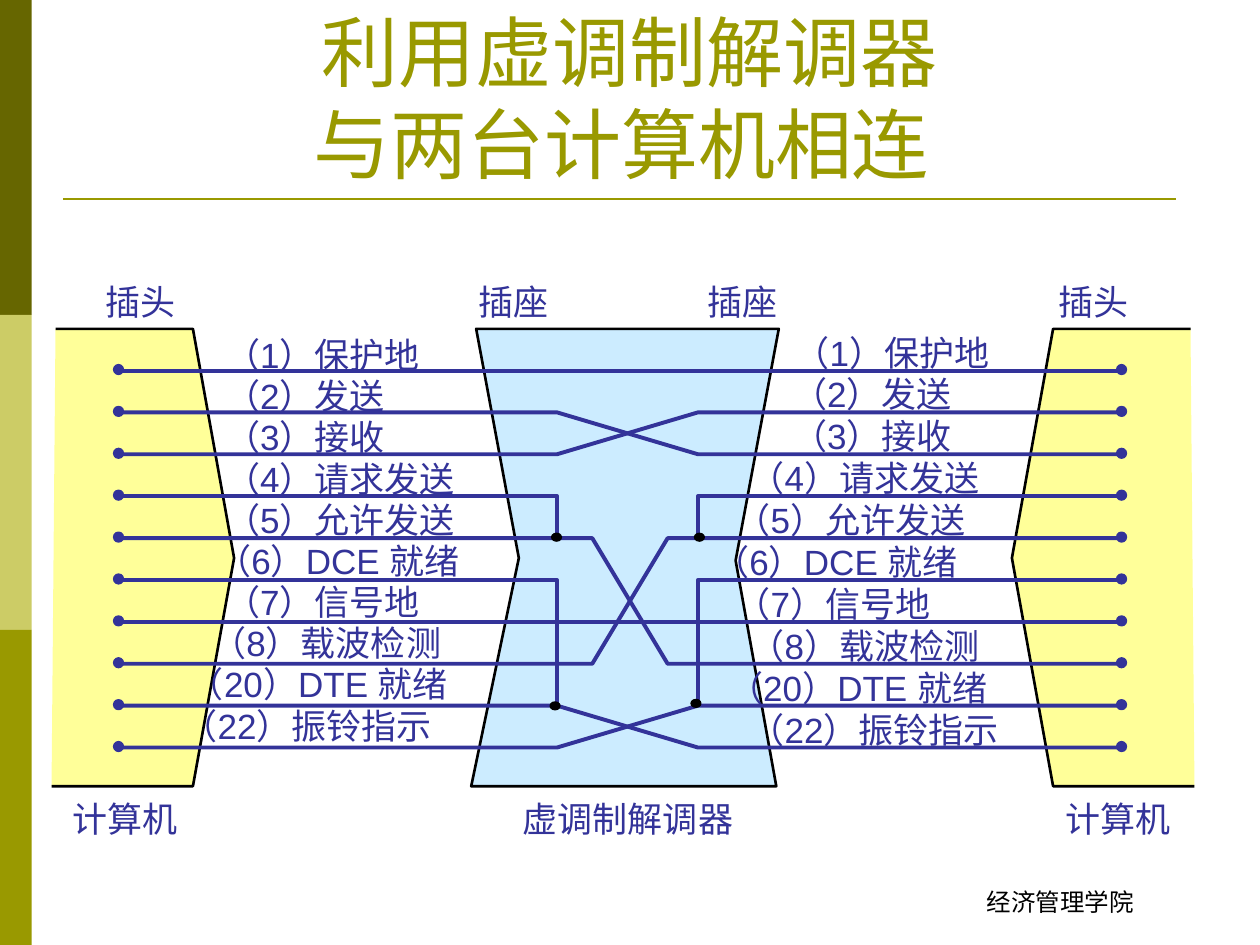
"""Draw two computers joined through a null modem, wire by wire."""
from dataclasses import dataclass

from pptx import Presentation
from pptx.dml.color import RGBColor as Rgb
from pptx.enum.shapes import MSO_CONNECTOR as Link, MSO_SHAPE as Form
from pptx.enum.text import MSO_ANCHOR as Anchor, MSO_AUTO_SIZE as Fit, PP_ALIGN as Align
from pptx.oxml.ns import qn
from pptx.util import Cm, Pt


@dataclass(frozen=True)
class Theme:
    """Colours, fonts and sizes in points."""
    olive: str = "999900"
    dark: str = "666600"
    pale: str = "CCCC66"
    black: str = "000000"
    navy: str = "333399"
    yellow: str = "FFFF99"
    sky: str = "CCECFF"
    head: str = "Times New Roman"
    body: str = "Arial"
    foot: str = "Karla"
    head_pt: float = 44
    body_pt: float = 20
    foot_pt: float = 14
    wire_pt: float = 2.25
    edge_pt: float = 1.5
    joint_pt: float = 1
    pin_pt: float = 0.75


@dataclass(frozen=True)
class Label:
    """A text with its left, top and width in cm."""
    text: str
    left: float
    top: float
    width: float


@dataclass(frozen=True)
class Signal:
    """A wire name, its text width and its left edge on both sides."""
    text: str
    width: float
    west: float
    east: float


Points = list[tuple[float, float]]
T = Theme()
AXIS = 25.12
WEST, EAST = 2.46, 22.69
TURN_W, TURN_E = 11.23, 14.07
BEND_W, BEND_E = 11.94, 13.46

SIGNALS = [
    Signal("（1）保护地", 4.78, 4.29, 15.77),
    Signal("（2）发送", 4.06, 4.29, 15.72),
    Signal("（3）接收", 4.06, 4.29, 15.72),
    Signal("（4）请求发送", 5.49, 4.29, 14.86),
    Signal("（5）允许发送", 5.49, 4.29, 14.58),
    Signal("（6）DCE 就绪", 6.1, 4.11, 14.15),
    Signal("（7）信号地", 4.78, 4.29, 14.58),
    Signal("（8）载波检测", 5.49, 4.01, 14.86),
    Signal("（20）DTE 就绪", 6.4, 3.56, 14.43),
    Signal("（22）振铃指示", 5.87, 3.43, 14.86),
]
LABELS = [
    Label("插头", 1.88, 5.54, 1.93),
    Label("插头", 21.08, 5.54, 1.93),
    Label("插座", 9.4, 5.54, 1.93),
    Label("插座", 14.02, 5.54, 1.93),
    Label("计算机", 1.22, 15.95, 2.62),
    Label("虚调制解调器", 10.29, 15.95, 4.75),
    Label("计算机", 21.23, 15.95, 2.62),
]
PLUG = [(1.12, 6.63), (3.89, 6.63), (4.72, 11.25), (3.89, 15.85), (1.04, 15.85)]
MODEM = [(9.6, 6.63), (10.46, 11.25), (9.5, 15.85), (15.65, 15.85),
         (14.83, 11.3), (15.7, 6.63), (9.6, 6.63)]
JOINTS = [(11.22, 10.83), (14.1, 10.83), (14.03, 14.18), (11.19, 14.23)]


def pin(row: int) -> float:
    """Give the height of a pin's centre, rows counted from 0."""
    return 7.45 + row * 7.6 / 9


def rail(row: int) -> float:
    """Give the height of a wire."""
    return pin(row) + 0.02


def cross(a: int, b: int, west: float, east: float) -> Points:
    """Lead a wire from row a on the left to row b on the right."""
    return [(WEST, rail(a)), (west, rail(a)), (east, rail(b)), (EAST, rail(b))]


def hook(a: int, b: int, start: float, turn: float) -> Points:
    """Lead a wire along row a, then down to row b."""
    return [(start, rail(a)), (turn, rail(a)), (turn, rail(b))]


def paint(shape, fill: str | None, line: str | None, width: float = 0) -> None:
    """Set a shape's fill and line, without shadow."""
    shape.shadow.inherit = False
    if fill:
        shape.fill.solid()
        shape.fill.fore_color.rgb = Rgb.from_string(fill)
    else:
        shape.fill.background()
    if line:
        shape.line.color.rgb = Rgb.from_string(line)
        shape.line.width = Pt(width)
    else:
        shape.line.fill.background()


def trace(slide, points: Points, fill: str | None, line: str, width: float) -> None:
    """Draw a run of straight segments."""
    first, *rest = [(Cm(x), Cm(y)) for x, y in points]
    pen = slide.shapes.build_freeform(*first)
    pen.add_line_segments(rest, close=False)
    paint(pen.convert_to_shape(), fill, line, width)


def rule(slide, x1: float, x2: float, y: float, color: str, width: float) -> None:
    """Draw a level line."""
    line = slide.shapes.add_connector(Link.STRAIGHT, Cm(x1), Cm(y), Cm(x2), Cm(y))
    line.line.color.rgb = Rgb.from_string(color)
    line.line.width = Pt(width)
    props = line._element.spPr
    props.append(props.makeelement(qn("a:effectLst"), {}))


def dot(slide, x: float, y: float, w: float, h: float, color: str, line: float) -> None:
    """Draw an oval about its centre."""
    oval = slide.shapes.add_shape(Form.OVAL, Cm(x - w / 2), Cm(y - h / 2), Cm(w), Cm(h))
    paint(oval, color, color, line)


def style(para, face: str, size: float, color: str) -> None:
    """Set a paragraph's font."""
    para.font.name = face
    para.font.size = Pt(size)
    para.font.color.rgb = Rgb.from_string(color)


def write(slide, item: Label) -> None:
    """Place a diagram label."""
    box = slide.shapes.add_textbox(Cm(item.left), Cm(item.top), Cm(item.width), Cm(1.1))
    frame = box.text_frame
    frame.word_wrap = False
    frame.auto_size = Fit.SHAPE_TO_FIT_TEXT
    frame.text = item.text
    style(frame.paragraphs[0], T.body, T.body_pt, T.navy)


def dress(slide) -> None:
    """Add the side band, title, rule and footer."""
    for i, color in enumerate((T.dark, T.pale, T.olive)):
        band = slide.shapes.add_shape(Form.RECTANGLE, 0, Cm(i * 6.35), Cm(0.64), Cm(6.35))
        paint(band, color, None)
    rule(slide, 1.27, 23.7, 4.01, T.olive, T.edge_pt)
    title = slide.shapes.title
    title.left, title.top, title.width, title.height = Cm(1.27), Cm(0.76), Cm(22.86), Cm(3.18)
    foot = slide.shapes.add_textbox(Cm(17.35), Cm(17.32), Cm(8.05), Cm(1.27))
    foot.text_frame.text = "经济管理学院"
    para = title.text_frame.paragraphs[0]
    para.add_run().text = "利用虚调制解调器"
    para.add_line_break()
    para.add_run().text = "与两台计算机相连 "
    style(para, T.head, T.head_pt, T.olive)
    style(foot.text_frame.paragraphs[0], T.foot, T.foot_pt, T.black)
    for frame in (title.text_frame, foot.text_frame):
        frame.word_wrap = True
        frame.auto_size = Fit.NONE
        frame.vertical_anchor = Anchor.BOTTOM
        frame.paragraphs[0].alignment = Align.CENTER


def main() -> None:
    """Build the slide and save it."""
    deck = Presentation()
    deck.slide_width, deck.slide_height = Cm(25.4), Cm(19.05)
    slide = deck.slides.add_slide(deck.slide_layouts[5])
    dress(slide)
    for shape, fill in ((PLUG, T.yellow), ([(AXIS - x, y) for x, y in PLUG], T.yellow),
                        (MODEM, T.sky)):
        trace(slide, shape, fill, T.black, T.edge_pt)
    for row in (0, 6):
        rule(slide, WEST, EAST, rail(row), T.navy, T.wire_pt)
    wires = [cross(a, b, TURN_W, TURN_E) for a, b in ((1, 2), (2, 1), (9, 8), (8, 9))]
    wires += [cross(a, b, BEND_W, BEND_E) for a, b in ((7, 4), (4, 7))]
    wires += [hook(a, b, start, turn) for a, b in ((5, 8), (3, 4))
              for start, turn in ((WEST, TURN_W), (EAST, TURN_E))]
    for wire in wires:
        trace(slide, wire, None, T.navy, T.wire_pt)
    for x, y in JOINTS:
        dot(slide, x, y, 0.19, 0.15, T.black, T.joint_pt)
    for item in LABELS:
        write(slide, item)
    for row, sig in enumerate(SIGNALS):
        write(slide, Label(sig.text, sig.west, 6.6 + row * 0.83, sig.width))
        write(slide, Label(sig.text, sig.east, pin(row) - 0.9, sig.width))
        for x in (2.39, 22.61):
            dot(slide, x, pin(row), 0.2, 0.2, T.navy, T.pin_pt)
    deck.save("out.pptx")


if __name__ == "__main__":
    main()
